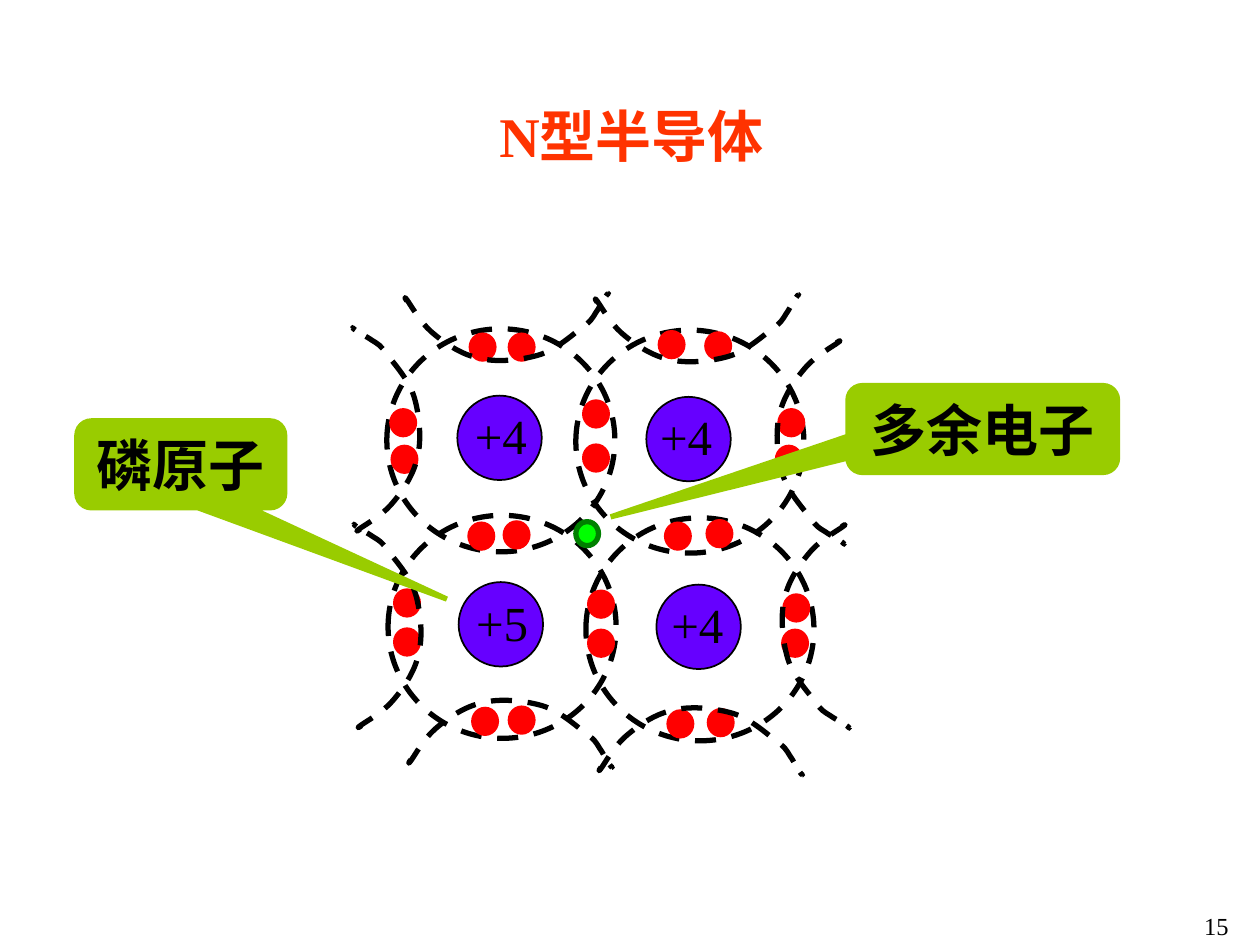
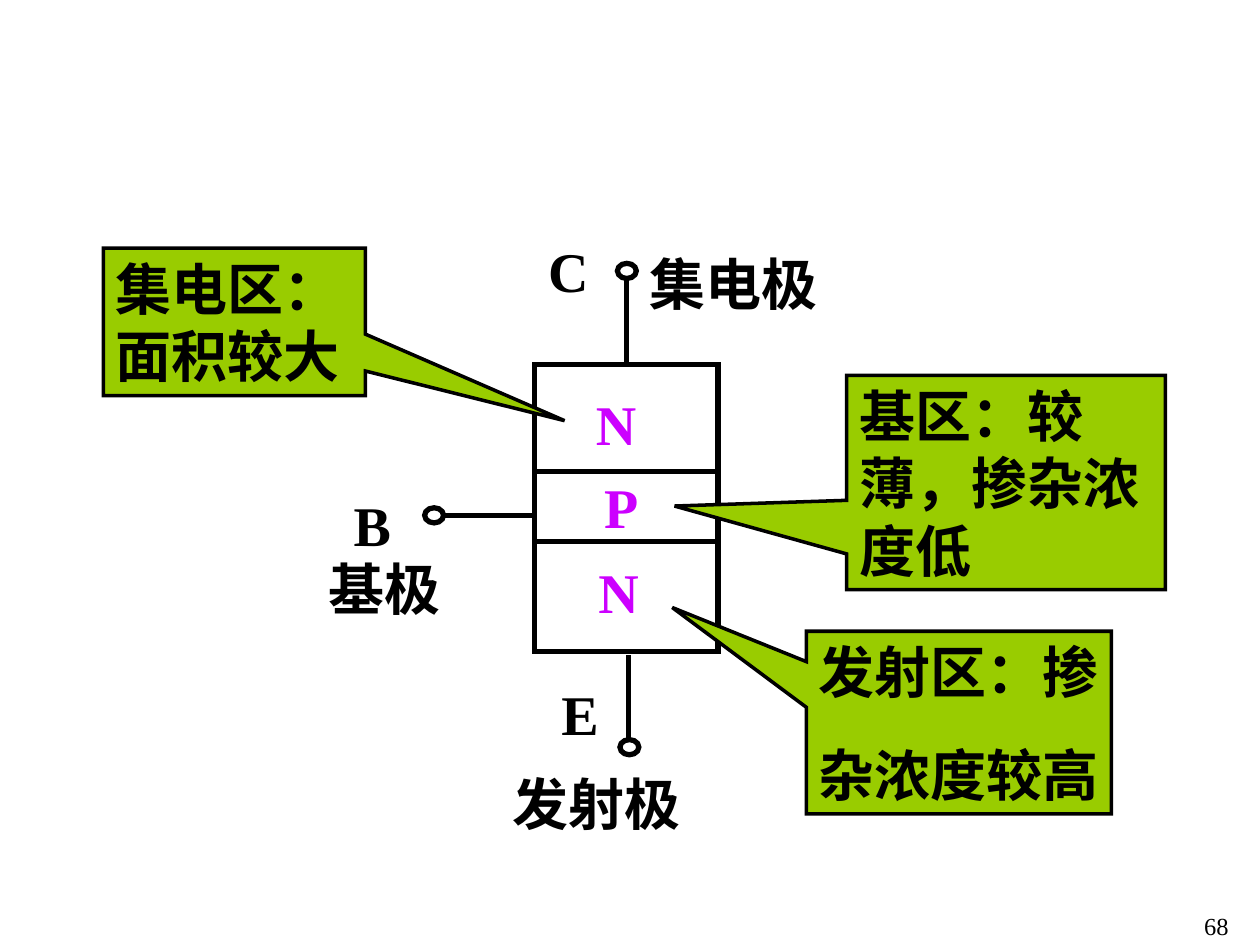
import pptx
import pptx.util
import pptx.dml.color
import pptx.enum.dml
import pptx.enum.shapes
import pptx.enum.text
import pptx.oxml.ns
from lxml import etree

PX = 9144  # 100 px to the inch
FONT = "Times New Roman"
COLORS = {
    "black": "000000", "title": "FF3300", "callout": "99CC00",
    "atom": "6600FF", "electron": "FF0000", "free": "00FF00",
    "free_line": "008000", "layer": "CC00FF",
}
SHAPE = pptx.enum.shapes.MSO_SHAPE
ALIGN = pptx.enum.text.PP_ALIGN
ANCHOR = pptx.enum.text.MSO_ANCHOR
qn = pptx.oxml.ns.qn

# Bond arc, opening to the right: start point, then three points for each Bezier piece
ARC_W, ARC_H = 56, 163
ARC_POINTS = [
    (49, 3),
    (50, 2), (54, 0), (50, 3), (46, 6), (33, 13), (25, 22),
    (17, 31), (7, 45), (4, 59), (0, 73), (2, 93), (6, 107),
    (10, 121), (22, 134), (28, 142), (33, 149), (35, 150), (40, 153),
    (44, 156), (51, 159), (53, 161), (56, 162), (55, 163), (55, 163),
    (55, 163), (54, 161), (53, 161),
]
ARC_TURNS = {
    "right": lambda u, v: (u, v),
    "left": lambda u, v: (ARC_W - u, ARC_H - v),
    "top": lambda u, v: (v, ARC_W - u),
    "bottom": lambda u, v: (v, u),
}


def emu(*lengths):
    return [round(n * PX) for n in lengths]


def rgb(name):
    return pptx.dml.color.RGBColor.from_string(COLORS[name])


def write(sp, text, size=32, color="black", bold=True, align=ALIGN.CENTER,
          anchor=ANCHOR.MIDDLE, wrap=False):
    tf = sp.text_frame
    tf.text = text
    tf.word_wrap = wrap
    tf.auto_size = pptx.enum.text.MSO_AUTO_SIZE.NONE
    tf.vertical_anchor = anchor
    tf.margin_left = tf.margin_right = 10 * PX
    tf.margin_top = tf.margin_bottom = 5 * PX
    for i, p in enumerate(tf.paragraphs):
        p.alignment = align
        p.space_before = pptx.util.Pt(20 if i else 0)
        p._p.get_or_add_pPr().set("hangingPunct", "0")
        for r in p.runs:
            r.font.name, r.font.size, r.font.bold = FONT, pptx.util.Pt(size), bold
            r.font.color.rgb = rgb(color)


def label(shapes, text, x, y, w, h=64, **style):
    write(shapes.add_textbox(*emu(x, y, w, h)), text, **style)


def outline(sp, color="black", width=3, dashed=False):
    sp.line.color.rgb = rgb(color)
    sp.line.width = pptx.util.Pt(width)
    if dashed:
        sp.line.dash_style = pptx.enum.dml.MSO_LINE.DASH
    else:
        ln = sp._element.spPr.find(qn("a:ln"))
        etree.SubElement(ln, qn("a:miter"), lim="800000")


def shape(shapes, kind, x, y, w, h, fill=None, line="black", width=3, dashed=False):
    sp = shapes.add_shape(kind, *emu(x, y, w, h))
    sp.shadow.inherit = False
    if fill:
        sp.fill.solid()
        sp.fill.fore_color.rgb = rgb(fill)
    else:
        sp.fill.background()
    outline(sp, line, width, dashed)
    return sp


def callout(shapes, kind, text, box, tip, line, width, **style):
    sp = shape(shapes, kind, *box, fill="callout", line=line, width=width)
    sp.adjustments[0], sp.adjustments[1] = tip
    write(sp, text, **style)


def lead(shapes, x1, y1, x2, y2):
    cx = shapes.add_connector(pptx.enum.shapes.MSO_CONNECTOR.STRAIGHT,
                              *emu(x1, y1, x2, y2))
    outline(cx)
    etree.SubElement(cx._element.spPr, qn("a:effectLst"))


def curve_segments(sp):
    """Join every three straight segments into one cubic Bezier piece."""
    segments = list(sp._element.iter(qn("a:lnTo")))
    for i in range(0, len(segments), 3):
        curve = etree.Element(qn("a:cubicBezTo"))
        segments[i].addprevious(curve)
        for segment in segments[i:i + 3]:
            curve.append(segment[0])
            segment.getparent().remove(segment)


def bond_arc(shapes, side, x, y):
    points = []
    for u, v in ARC_POINTS:
        dx, dy = ARC_TURNS[side](u, v)
        points.append(tuple(emu(x + dx, y + dy)))
    fb = shapes.build_freeform(*points[0], scale=1.0)
    fb.add_line_segments(points[1:], close=False)
    sp = fb.convert_to_shape()
    curve_segments(sp)
    sp.shadow.inherit = False
    sp.fill.background()
    outline(sp, dashed=True)


def page_number(s, number):
    label(s.shapes, number, 933, 718, 65, 33, size=14, bold=False)


def lattice(s, x, y):
    shapes = s.shapes.add_group_shape().shapes
    # Atoms: position, charge, label shift
    atoms = [(83, 84, "+4", 4), (233, 85, "+4", 1), (84, 232, "+5", 4), (241, 234, "+4", 2)]
    for ax, ay, _, _ in atoms:
        shape(shapes, SHAPE.OVAL, x + ax, y + ay, 67, 67, fill="atom", width=1)
        shape(shapes, SHAPE.OVAL, x + ax - 56, y + ay - 53, 181, 177, dashed=True)
    # Shared electrons, in pairs
    electrons = [
        (94, 36), (125, 36), (244, 34), (281, 35),
        (31, 96), (32, 125), (184, 89), (184, 124), (339, 96), (337, 125),
        (93, 186), (121, 185), (249, 186), (282, 184),
        (34, 239), (34, 270), (188, 240), (188, 271), (343, 243), (342, 271),
        (96, 333), (125, 332), (251, 335), (283, 334),
    ]
    for ex, ey in electrons:
        shape(shapes, SHAPE.OVAL, x + ex, y + ey, 18, 19, fill="electron", line="electron")
    # Bonds to the atoms outside
    arcs = [("right", 335, 39), ("right", 339, 185), ("top", 40, 2), ("top", 191, 3),
            ("bottom", 43, 324), ("bottom", 194, 330), ("left", -1, 30), ("left", 0, 186)]
    for side, bx, by in arcs:
        bond_arc(shapes, side, x + bx, y + by)
    for ax, ay, charge, shift in atoms:
        label(shapes, charge, x + ax + shift, y + ay + 3, 77, 57, size=28, bold=False,
              align=ALIGN.LEFT, anchor=ANCHOR.TOP, wrap=True)
    # Surplus electron
    shape(shapes, SHAPE.OVAL, x + 177, y + 184, 18, 19, fill="free", line="free_line")


def transistor(s, x, y):
    shapes = s.shapes.add_group_shape().shapes
    # Stacked layers
    top = y + 109
    for height in (85, 56, 87):
        shape(shapes, SHAPE.RECTANGLE, x + 174, top, 146, height)
        top += height
    # Leads and terminals
    for x1, y1, x2, y2, cx, cy in [(249, 407, 249, 340, 249, 413),
                                   (247, 109, 247, 42, 247, 35),
                                   (175, 229, 100, 229, 94, 229)]:
        lead(shapes, x + x1, y + y1, x + x2, y + y2)
        shape(shapes, SHAPE.OVAL, x + cx - 7, y + cy - 6, 15, 12)
    # Terminal and layer names
    for text, tx, ty, w, color in [
            ("B", 21, 204, 49, "black"), ("E", 186, 354, 49, "black"),
            ("C", 175, 2, 52, "black"), ("基极", 1, 255, 109, "black"),
            ("发射极", 147, 425, 153, "black"), ("集电极", 256, 13, 153, "black"),
            ("N", 213, 124, 52, "layer"), ("P", 217, 190, 52, "layer"),
            ("N", 215, 257, 52, "layer")]:
        label(shapes, text, x + tx, y + ty, w, color=color)


def n_type_slide(prs):
    s = prs.slides.add_slide(prs.slide_layouts[5])
    title = s.shapes.title
    title.left, title.top, title.width, title.height = emu(381, 75, 241, 64)
    write(title, "N型半导体", color="title")
    lattice(s, 280, 230)
    for text, box, tip in [("多余电子", (673, 306, 214, 69), (-1.38, 1.01)),
                           ("磷原子", (61, 334, 165, 69), (1.28, 1.55))]:
        callout(s.shapes, SHAPE.ROUNDED_RECTANGULAR_CALLOUT, text, box, tip, "callout", 3)
    page_number(s, "15")


def transistor_slide(prs):
    s = prs.slides.add_slide(prs.slide_layouts[6])
    transistor(s, 250, 180)
    for text, box, tip, wrap in [
            ("基区：较薄，掺杂浓度低", (672, 298, 253, 170), (-1.04, 0.11), True),
            ("集电区：面积较大", (82, 197, 208, 117), (1.26, 0.67), True),
            ("发射区：掺\n杂浓度较高", (640, 501, 242, 145), (-0.94, -0.63), False)]:
        callout(s.shapes, SHAPE.RECTANGULAR_CALLOUT, text, box, tip, "black", 2,
                align=ALIGN.LEFT, wrap=wrap)
    page_number(s, "68")


def main():
    prs = pptx.Presentation()
    prs.slide_width, prs.slide_height = emu(1000, 750)
    n_type_slide(prs)
    transistor_slide(prs)
    prs.save("out.pptx")


if __name__ == "__main__":
    main()
